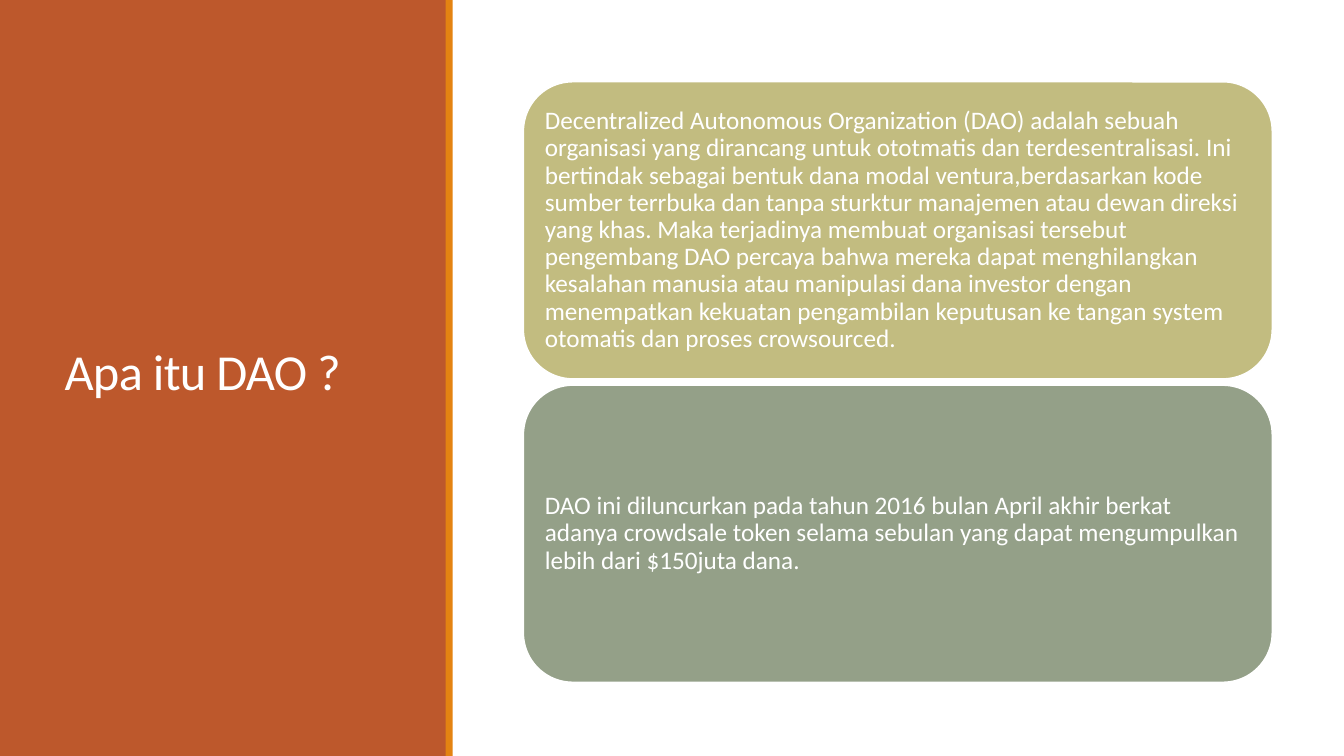
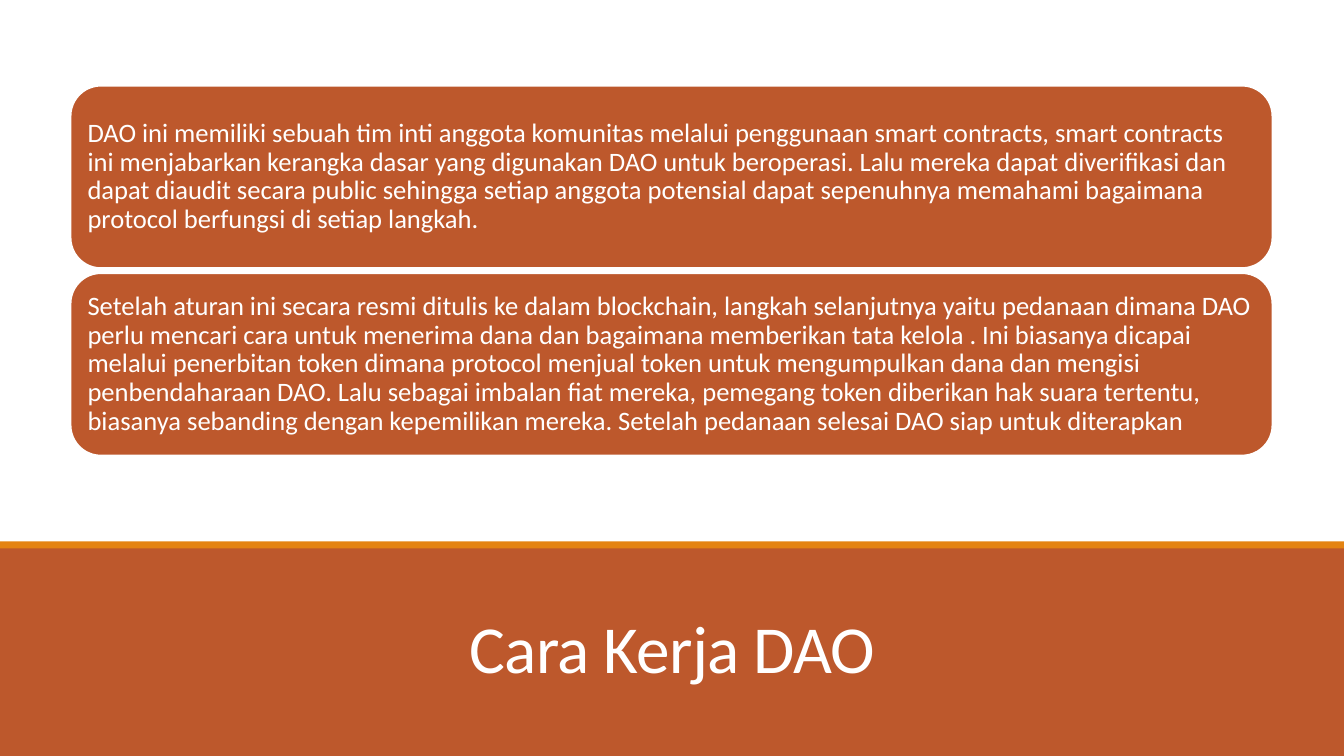
"""Build two slides that explain what a DAO is and how it works."""
from dataclasses import dataclass

from pptx import Presentation
from pptx.dml.color import RGBColor
from pptx.enum.shapes import MSO_SHAPE as Shape
from pptx.enum.text import MSO_ANCHOR as Anchor, MSO_AUTO_SIZE as AutoSize, PP_ALIGN as Align
from pptx.oxml.ns import qn
from pptx.slide import Slide
from pptx.text.text import TextFrame
from pptx.util import Inches, Pt

COLOURS = {"rust": "BD582C", "orange": "E48312", "khaki": "C2BC80", "sage": "94A088", "white": "FFFFFF"}
FONT = "Calibri"
WIDTH, HEIGHT = 13.33, 7.5
STRIPE = 0.07
TITLE_ONLY = 5


@dataclass(frozen=True)
class Area:
    left: float
    top: float
    width: float
    height: float

    def lengths(self) -> tuple[Inches, ...]:
        return tuple(Inches(value) for value in (self.left, self.top, self.width, self.height))


@dataclass(frozen=True)
class Title:
    text: str
    area: Area
    size: int
    anchor: Anchor
    align: Align


@dataclass(frozen=True)
class Card:
    text: str
    fill: str


@dataclass(frozen=True)
class CardStack:
    cards: tuple[Card, ...]
    first: Area
    gap: float
    inset: float
    size: int


@dataclass(frozen=True)
class Page:
    panel: Area
    stripe: Area
    title: Title
    stack: CardStack


PAGES = (
    Page(
        panel=Area(0, 0, 4.43, HEIGHT),
        stripe=Area(4.42, 0, STRIPE, HEIGHT),
        title=Title("Apa itu DAO ?", Area(0.54, 0.57, 3.37, 6.31), 36, Anchor.MIDDLE, Align.LEFT),
        stack=CardStack(
            cards=(
                Card(
                    "Decentralized Autonomous Organization (DAO) adalah sebuah organisasi yang dirancang "
                    "untuk ototmatis dan terdesentralisasi. Ini bertindak sebagai bentuk dana modal "
                    "ventura,berdasarkan kode sumber terrbuka dan tanpa sturktur manajemen atau dewan "
                    "direksi yang khas. Maka terjadinya membuat organisasi tersebut pengembang DAO percaya "
                    "bahwa mereka dapat menghilangkan kesalahan manusia atau manipulasi dana investor dengan "
                    "menempatkan kekuatan pengambilan keputusan ke tangan system otomatis dan proses "
                    "crowsourced.",
                    "khaki",
                ),
                Card(
                    "DAO ini diluncurkan pada tahun 2016 bulan April akhir berkat adanya crowdsale token "
                    "selama sebulan yang dapat mengumpulkan lebih dari $150juta dana.",
                    "sage",
                ),
            ),
            first=Area(5.19, 0.81, 7.43, 2.95),
            gap=0.06,
            inset=0.07,
            size=18,
        ),
    ),
    Page(
        panel=Area(0, 5.42, WIDTH, 2.08),
        stripe=Area(0, 5.37, WIDTH, STRIPE),
        title=Title("Cara Kerja DAO", Area(1.17, 5.74, 11, 1.13), 48, Anchor.BOTTOM, Align.CENTER),
        stack=CardStack(
            cards=(
                Card(
                    "DAO ini memiliki sebuah tim inti anggota komunitas melalui penggunaan smart contracts, "
                    "smart contracts ini menjabarkan kerangka dasar yang digunakan DAO untuk beroperasi. "
                    "Lalu mereka dapat diverifikasi dan dapat diaudit secara public sehingga setiap anggota "
                    "potensial dapat sepenuhnya memahami bagaimana protocol berfungsi di setiap langkah.",
                    "rust",
                ),
                Card(
                    "Setelah aturan ini secara resmi ditulis ke dalam blockchain, langkah selanjutnya yaitu "
                    "pedanaan dimana DAO perlu mencari cara untuk menerima dana dan bagaimana memberikan "
                    "tata kelola . Ini biasanya dicapai melalui penerbitan token dimana protocol menjual "
                    "token untuk mengumpulkan dana dan mengisi penbendaharaan DAO. Lalu sebagai imbalan fiat "
                    "mereka, pemegang token diberikan hak suara tertentu, biasanya sebanding dengan "
                    "kepemilikan mereka. Setelah pedanaan selesai DAO siap untuk diterapkan",
                    "rust",
                ),
            ),
            first=Area(0.7, 0.85, 11.92, 1.81),
            gap=0.05,
            inset=0.08,
            size=19,
        ),
    ),
)


def colour(name: str) -> RGBColor:
    return RGBColor.from_string(COLOURS[name])


def write(frame: TextFrame, text: str, size: int, anchor: Anchor, align: Align, spacing: float) -> None:
    frame.text = text
    frame.word_wrap = True
    frame.auto_size = AutoSize.NONE
    frame.vertical_anchor = anchor
    for para in frame.paragraphs:
        para.alignment = align
        para.line_spacing = spacing
        for span in para.runs:
            span.font.name = FONT
            span.font.size = Pt(size)
            span.font.color.rgb = colour("white")


def add_band(page: Slide, area: Area, fill: str) -> None:
    band = page.shapes.add_shape(Shape.RECTANGLE, *area.lengths())
    band.shadow.inherit = False
    band.fill.solid()
    band.fill.fore_color.rgb = colour(fill)
    band.line.fill.background()


def place_title(page: Slide, title: Title) -> None:
    box = page.shapes.title
    box.left, box.top, box.width, box.height = title.area.lengths()
    write(box.text_frame, title.text, title.size, title.anchor, title.align, 0.85)
    for properties in box.element.iter(qn("a:rPr")):
        properties.set("spc", "-50")
    box.element.getparent().append(box.element)


def add_cards(page: Slide, stack: CardStack) -> None:
    first = stack.first
    for index, card in enumerate(stack.cards):
        top = first.top + index * (first.height + stack.gap)
        area = Area(first.left, top, first.width, first.height)
        box = page.shapes.add_shape(Shape.ROUNDED_RECTANGLE, *area.lengths())
        box.shadow.inherit = False
        box.fill.solid()
        box.fill.fore_color.rgb = colour(card.fill)
        box.line.color.rgb = colour("white")
        box.line.width = Pt(1.25)
        frame = box.text_frame
        frame.margin_left = frame.margin_right = Inches(stack.inset)
        frame.margin_top = frame.margin_bottom = Inches(stack.inset)
        write(frame, card.text, stack.size, Anchor.MIDDLE, Align.LEFT, 0.9)


def main() -> None:
    deck = Presentation()
    deck.slide_width, deck.slide_height = Inches(WIDTH), Inches(HEIGHT)
    for content in PAGES:
        page = deck.slides.add_slide(deck.slide_layouts[TITLE_ONLY])
        add_band(page, content.panel, "rust")
        place_title(page, content.title)
        add_band(page, content.stripe, "orange")
        add_cards(page, content.stack)
    deck.save("out.pptx")


if __name__ == "__main__":
    main()
